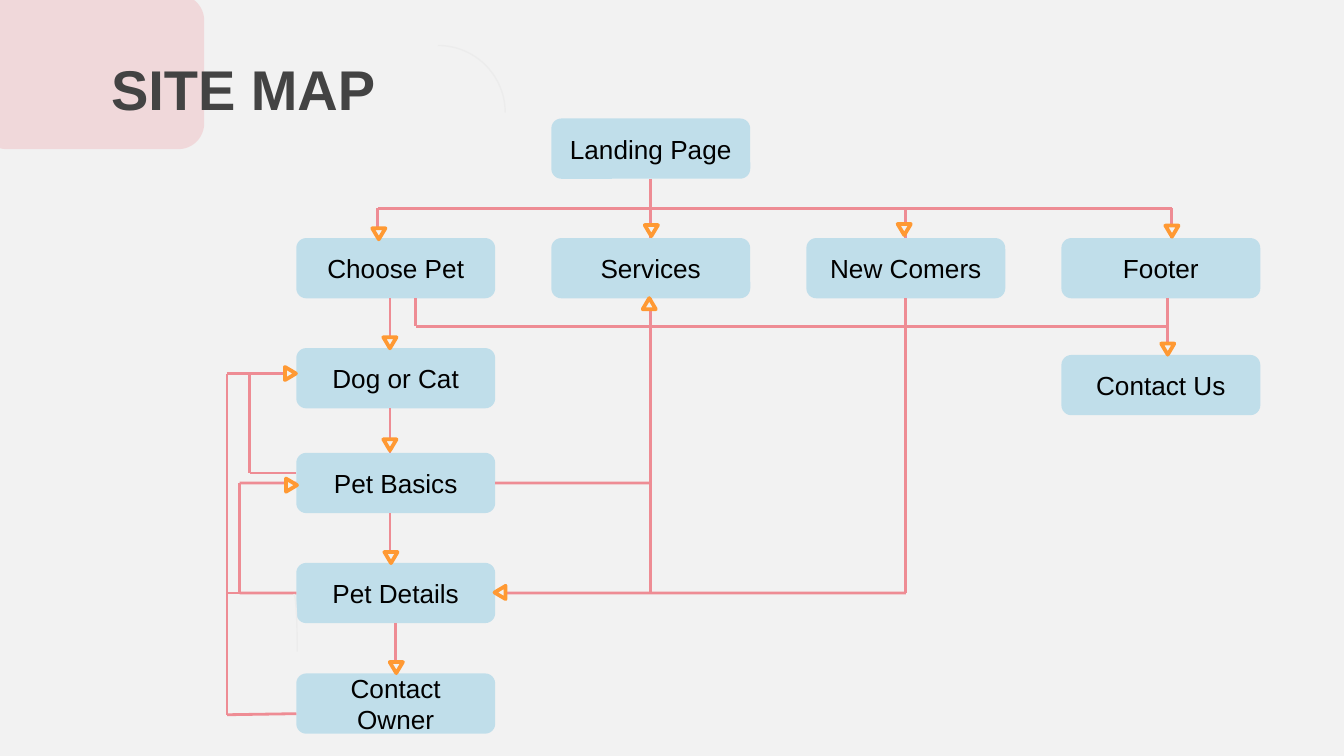
import lxml.etree
import pptx
import pptx.dml.color
import pptx.enum.shapes
import pptx.enum.text
import pptx.oxml.ns
import pptx.util

Cm = pptx.util.Cm
Pt = pptx.util.Pt
RGBColor = pptx.dml.color.RGBColor
Shape = pptx.enum.shapes.MSO_SHAPE
Align = pptx.enum.text.PP_ALIGN
Anchor = pptx.enum.text.MSO_ANCHOR
qn = pptx.oxml.ns.qn

PAPER = RGBColor(0xF2, 0xF2, 0xF2)
PINK = RGBColor(0xEE, 0x8C, 0x94)
BLUE = RGBColor(0xAE, 0xD7, 0xE8)
ORANGE = RGBColor(0xFF, 0x99, 0x33)
GREY = RGBColor(0xEC, 0xEC, 0xEC)
INK = RGBColor(0x43, 0x43, 0x43)
BLACK = RGBColor(0x00, 0x00, 0x00)

FRAME = {"margin_left": Cm(0.25), "margin_right": Cm(0.25),
         "margin_top": Cm(0.25), "margin_bottom": Cm(0.25),
         "word_wrap": True, "auto_size": pptx.enum.text.MSO_AUTO_SIZE.NONE}
TITLE_FONT = {"name": "Arial", "size": Pt(30), "bold": True}
BOX_FONT = {"name": "Arial", "size": Pt(14)}


def add_plain_shape(page, kind, left, top, width, height, color=None, opacity=100):
    shape = page.shapes.add_shape(kind, Cm(left), Cm(top), Cm(width), Cm(height))
    shape.shadow.inherit = False
    shape.line.fill.background()
    if color is None:
        shape.fill.background()
        return shape
    shape.fill.solid()
    shape.fill.fore_color.rgb = color
    if opacity < 100:
        tone = shape.element.spPr.find(qn("a:solidFill"))[0]
        lxml.etree.SubElement(tone, qn("a:alpha"), val=str(opacity * 1000))
    return shape


def write_text(shape, text, font, color, align, anchor):
    frame = shape.text_frame
    for name, value in FRAME.items():
        setattr(frame, name, value)
    frame.vertical_anchor = anchor
    para = frame.paragraphs[0]
    para.alignment = align
    span = para.add_run()
    span.text = text
    for name, value in font.items():
        setattr(span.font, name, value)
    span.font.color.rgb = color


deck = pptx.Presentation()
deck.slide_width = Cm(25.4)
deck.slide_height = Cm(14.29)
page = deck.slides.add_slide(deck.slide_layouts[5])
page.background.fill.solid()
page.background.fill.fore_color.rgb = PAPER

title = page.shapes.title
for name, value in {"left": 1.85, "top": 0.79, "width": 8.76, "height": 3.5}.items():
    setattr(title, name, Cm(value))
write_text(title, "SITE MAP", TITLE_FONT, INK, Align.LEFT, Anchor.TOP)
corner = add_plain_shape(page, Shape.ROUNDED_RECTANGLE, -0.36, -0.1, 4.22, 2.92, PINK, 25)
title.element.addprevious(corner.element)

BOX_WIDTH, BOX_HEIGHT = 3.76, 1.14
COLUMNS = [5.6 + 4.82 * index for index in range(4)]
BOXES = [
    ("Landing Page", COLUMNS[1], 2.24),
    ("Choose Pet", COLUMNS[0], 4.5),
    ("Services", COLUMNS[1], 4.5),
    ("New Comers", COLUMNS[2], 4.5),
    ("Footer", COLUMNS[3], 4.5),
    ("Dog or Cat", COLUMNS[0], 6.58),
    ("Pet Basics", COLUMNS[0], 8.56),
    ("Pet Details", COLUMNS[0], 10.64),
    ("Contact Owner", COLUMNS[0], 12.73),
    ("Contact Us", COLUMNS[3], 6.71),
]
TOP, LEFT, BOTTOM, RIGHT = range(4)
boxes = {}
sites = {}
for name, left, top in BOXES:
    box = add_plain_shape(page, Shape.ROUNDED_RECTANGLE, left, top,
                          BOX_WIDTH, BOX_HEIGHT, BLUE, 73)
    write_text(box, name, BOX_FONT, BLACK, Align.CENTER, Anchor.MIDDLE)
    boxes[name] = box
    sites[name, TOP] = (left + BOX_WIDTH / 2, top)
    sites[name, LEFT] = (left, top + BOX_HEIGHT / 2)
    sites[name, BOTTOM] = (left + BOX_WIDTH / 2, top + BOX_HEIGHT)
    sites[name, RIGHT] = (left + BOX_WIDTH, top + BOX_HEIGHT / 2)

BASICS_Y = sites["Pet Basics", LEFT][1]
DETAILS_Y = sites["Pet Details", LEFT][1]
NEWCOMERS_X = sites["New Comers", TOP][0]
SERVICES_X = sites["Services", TOP][0]
ROUTES = [
    [("Landing Page", BOTTOM), ("Services", TOP)],
    [(7.14, 4.5), (7.14, 3.94), (22.14, 3.94), (22.14, 4.5)],
    [(NEWCOMERS_X, 3.94), ("New Comers", TOP)],
    [(7.86, 5.64), (7.86, 6.17), (22.07, 6.17)],
    [(22.07, 5.64), (22.07, 6.71)],
    [(7.37, 5.64), (7.37, 6.58)],
    [(7.37, 7.72), (7.37, 8.56)],
    [(7.37, 9.7), (7.37, 10.64)],
    [("Pet Details", BOTTOM), ("Contact Owner", TOP)],
    [("New Comers", BOTTOM), (NEWCOMERS_X, DETAILS_Y), ("Pet Details", RIGHT)],
    [("Services", BOTTOM), (SERVICES_X, DETAILS_Y)],
    [(SERVICES_X, BASICS_Y), ("Pet Basics", RIGHT)],
    [("Pet Details", LEFT), (4.53, DETAILS_Y), (4.53, BASICS_Y), ("Pet Basics", LEFT)],
    [(5.6, 8.94), (4.72, 8.94), (4.72, 7.06), (5.38, 7.06)],
    [(5.6, 13.49), (4.29, 13.51), (4.29, 7.06), (4.72, 7.06)],
    [(4.53, DETAILS_Y), (4.29, DETAILS_Y)],
]
for route in ROUTES:
    for start, end in zip(route, route[1:]):
        points = sites.get(start, start) + sites.get(end, end)
        line = page.shapes.add_connector(pptx.enum.shapes.MSO_CONNECTOR.STRAIGHT,
                                         *[Cm(value) for value in points])
        line.line.color.rgb = PINK
        line.line.width = Pt(1.5)
        lxml.etree.SubElement(line.element.spPr, qn("a:effectLst"))
        if start in sites:
            line.begin_connect(boxes[start[0]], start[1])
        if end in sites:
            line.end_connect(boxes[end[0]], end[1])

ARROW_WIDTH, ARROW_HEIGHT = 0.25, 0.21
ARROWS = [
    (12.31, 4.36, 0), (7.16, 4.42, 0), (17.09, 4.34, 0), (22.15, 4.37, 0),
    (7.37, 6.48, 0), (7.37, 8.41, 0), (7.39, 10.54, 0), (7.49, 12.62, 0),
    (22.07, 6.6, 0), (12.27, 5.74, 180), (9.45, 11.2, 90),
    (5.49, 7.06, 270), (5.51, 9.17, 270),
]
for center_x, center_y, rotation in ARROWS:
    arrow = add_plain_shape(page, Shape.FLOWCHART_MERGE, center_x - ARROW_WIDTH / 2,
                            center_y - ARROW_HEIGHT / 2, ARROW_WIDTH, ARROW_HEIGHT, PAPER)
    arrow.rotation = rotation
    arrow.line.color.rgb = ORANGE
    arrow.line.width = Pt(2)

for left, top, width, height in [(7.01, 0.86, 2.54, 2.54), (5.49, 11.23, 0.13, 2.18)]:
    arc = add_plain_shape(page, Shape.ARC, left, top, width, height)
    arc.line.color.rgb = GREY
    arc.line.width = Pt(0.75)

deck.save("out.pptx")
